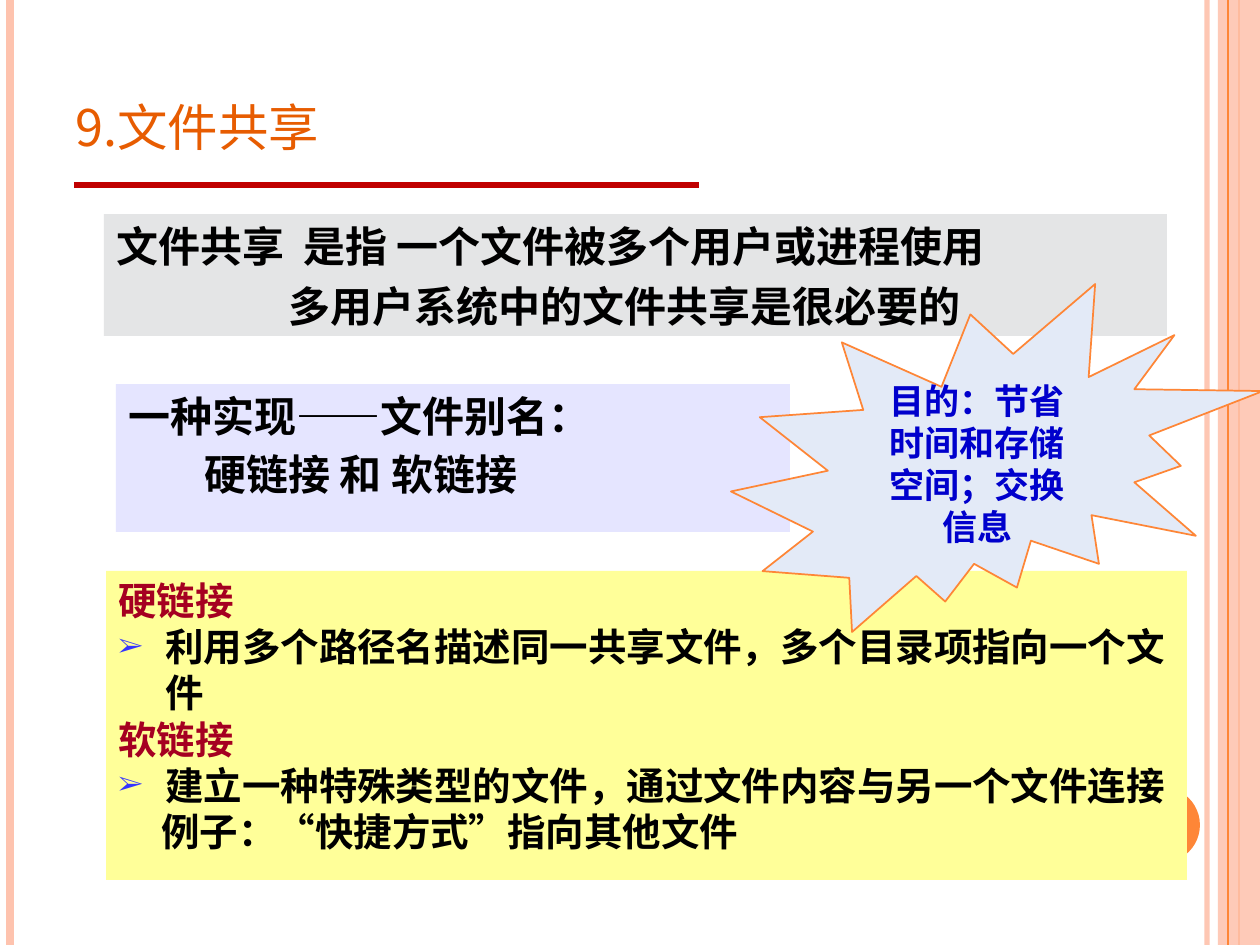
from dataclasses import dataclass

from lxml import etree
from pptx import Presentation
from pptx import util as u
from pptx.dml.color import RGBColor
from pptx.enum import shapes, text
from pptx.oxml import ns

PX = 914400 // 126
SLIDE_W, SLIDE_H = 1260, 945


@dataclass(frozen=True)
class Theme:
    sans: str = "Noto Sans CJK SC"
    serif: str = "Times New Roman"
    orange: str = "FE8637"
    peach: str = "FEC3AE"
    title: str = "E75C01"
    rule: str = "C00000"
    ink: str = "000000"
    term: str = "A50021"
    bullet: str = "3333FF"
    purpose: str = "0000CC"
    grey: str = "E4E5E6"
    lavender: str = "E5E5FF"
    yellow: str = "FFFF99"
    pale_blue: str = "E3EAF7"
    title_size: int = 36
    lead_size: int = 24
    detail_size: int = 22
    burst_size: int = 20


THEME = Theme()


def px(length):
    return u.Emu(length * PX)


def rgb(code):
    return RGBColor.from_string(code)


def add_child(parent, tag, **attributes):
    return etree.SubElement(parent, ns.qn(tag), attributes)


def set_alpha(properties, percent):
    color = next(properties.iter(ns.qn("a:srgbClr")))
    add_child(color, "a:alpha", val=str(percent * 1000))


def add_line(slide, start, end, color, width, alpha=None):
    line = slide.shapes.add_connector(
        shapes.MSO_CONNECTOR.STRAIGHT, *map(px, start + end))
    line.line.color.rgb = rgb(color)
    line.line.width = u.Pt(width)
    properties = line._element.spPr
    if alpha:
        set_alpha(properties, alpha)
    add_child(properties, "a:effectLst")


def add_panel(slide, box, fill, kind=shapes.MSO_SHAPE.RECTANGLE,
              outline=None, alpha=None):
    panel = slide.shapes.add_shape(kind, *map(px, box))
    panel.shadow.inherit = False
    panel.fill.solid()
    panel.fill.fore_color.rgb = rgb(fill)
    if alpha:
        set_alpha(panel._element.spPr, alpha)
    if outline:
        panel.line.color.rgb = rgb(outline)
        panel.line.width = u.Pt(1)
    else:
        panel.line.fill.background()
    return panel


def set_frame(shape, anchor=text.MSO_ANCHOR.TOP):
    frame = shape.text_frame
    frame.word_wrap = True
    frame.vertical_anchor = anchor
    frame.margin_top = frame.margin_bottom = px(6)
    return frame


def add_run(paragraph, words, size, color, font=THEME.sans, bold=True):
    run = paragraph.add_run()
    run.text = words
    run.font.size = u.Pt(size)
    run.font.bold = bold
    run.font.color.rgb = rgb(color)
    run.font.name = font
    add_child(run._r.get_or_add_rPr(), "a:ea", typeface=THEME.sans)
    return run


def add_bullet(paragraph, hang):
    properties = paragraph._p.get_or_add_pPr()
    properties.set("indent", str(-px(hang)))
    color = add_child(properties, "a:buClr")
    add_child(color, "a:srgbClr", val=THEME.bullet)
    add_child(properties, "a:buSzPct", val="70000")
    add_child(properties, "a:buFont", typeface=THEME.serif)
    add_child(properties, "a:buChar", char="➢")


def fill_frame(frame, lines, size, font=THEME.sans, before=0,
               align=text.PP_ALIGN.LEFT):
    """Each line is (words, colour, left indent, bulleted)."""
    for index, (words, color, indent, bulleted) in enumerate(lines):
        paragraph = frame.add_paragraph() if index else frame.paragraphs[0]
        paragraph.alignment = align
        paragraph.space_before = u.Pt(before if index else 0)
        paragraph._p.get_or_add_pPr().set("marL", str(px(indent)))
        if bulleted:
            add_bullet(paragraph, indent)
        add_run(paragraph, words, size, color, font)


def add_side_bands(slide):
    for x, color, width, alpha in ((1207, THEME.peach, 3, 93),
                                   (10, THEME.peach, 4.5, None),
                                   (1239, THEME.orange, 1.5, None)):
        add_line(slide, (x, 0), (x, SLIDE_H), color, width, alpha)
    add_panel(slide, (1218, 0, 42, SLIDE_H), THEME.peach, alpha=87)
    add_line(slide, (1228, 0), (1228, SLIDE_H), THEME.orange, 0.75)
    add_panel(slide, (1124, 787, 76, 76), THEME.orange,
              shapes.MSO_SHAPE.OVAL)


def add_title(slide, words):
    title = slide.shapes.title
    title.left, title.top, title.width, title.height = map(
        px, (63, 38, 1029, 127))
    frame = set_frame(title, text.MSO_ANCHOR.BOTTOM)
    frame.auto_size = text.MSO_AUTO_SIZE.NONE
    paragraph = frame.paragraphs[0]
    paragraph.alignment = text.PP_ALIGN.LEFT
    run = add_run(paragraph, words, THEME.title_size, THEME.title, bold=False)
    run._r.get_or_add_rPr().set("cap", "small")
    add_line(slide, (74, 185), (699, 185), THEME.rule, 3)


def main():
    deck = Presentation()
    deck.slide_width, deck.slide_height = px(SLIDE_W), px(SLIDE_H)
    slide = deck.slides.add_slide(deck.slide_layouts[5])

    add_side_bands(slide)
    add_title(slide, "9.文件共享")

    # Definition
    definition = add_panel(slide, (104, 214, 1063, 122), THEME.grey)
    fill_frame(set_frame(definition), (
        ("文件共享  是指 一个文件被多个用户或进程使用", THEME.ink, 0, False),
        ("多用户系统中的文件共享是很必要的", THEME.ink, 172, False),
    ), THEME.lead_size, THEME.serif, before=6)

    # Implementation
    aliases = add_panel(slide, (116, 384, 674, 148), THEME.lavender)
    fill_frame(set_frame(aliases), (
        ("一种实现——文件别名：", THEME.ink, 0, False),
        ("硬链接 和 软链接", THEME.ink, 76, False),
    ), THEME.lead_size, before=4.8)

    # Hard and soft links
    links = add_panel(slide, (106, 571, 1081, 309), THEME.yellow)
    fill_frame(set_frame(links), (
        ("硬链接", THEME.term, 0, False),
        ("利用多个路径名描述同一共享文件，多个目录项指向一个文件",
         THEME.ink, 47, True),
        ("软链接", THEME.term, 0, False),
        ("建立一种特殊类型的文件，通过文件内容与另一个文件连接",
         THEME.ink, 47, True),
        ("例子：“快捷方式”指向其他文件", THEME.ink, 43, False),
    ), THEME.detail_size)

    # Purpose
    purpose = add_panel(slide, (731, 284, 532, 348), THEME.pale_blue,
                        shapes.MSO_SHAPE.EXPLOSION2, THEME.orange)
    fill_frame(set_frame(purpose, text.MSO_ANCHOR.MIDDLE), (
        ("目的：节省时间和存储空间；交换信息", THEME.purpose, 0, False),
    ), THEME.burst_size, align=text.PP_ALIGN.CENTER)

    deck.save("out.pptx")


if __name__ == "__main__":
    main()
